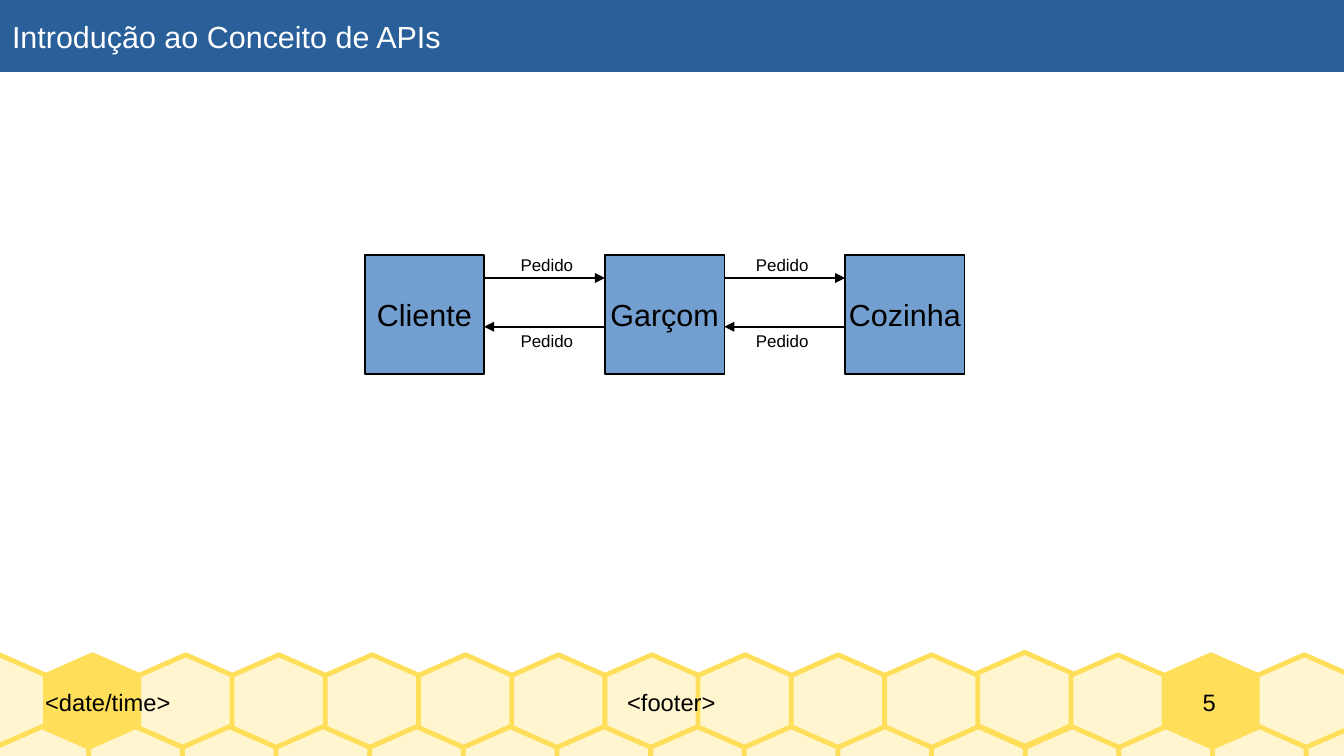
from dataclasses import dataclass

import pptx
import pptx.dml.color
import pptx.enum.shapes
import pptx.enum.text
import pptx.oxml
import pptx.oxml.ns
import pptx.util

Inches = pptx.util.Inches
Align = pptx.enum.text.PP_ALIGN
Anchor = pptx.enum.text.MSO_ANCHOR
RECTANGLE = pptx.enum.shapes.MSO_SHAPE.RECTANGLE
STRAIGHT = pptx.enum.shapes.MSO_CONNECTOR.STRAIGHT

BLACK, WHITE = "000000", "FFFFFF"
NAVY, BLUE = "2A6099", "729FCF"
GOLD, CREAM = "FFDE59", "FFF5CE"
CELL = 0.77
CELL_COUNT = 15
BOX, BOX_STEP, BOX_LEFT, BOX_TOP = 0.98, 1.97, 2.99, 2.09


@dataclass
class Label:
    text: str
    left: float
    top: float
    width: float
    height: float
    size: float
    align: Align = Align.LEFT
    anchor: Anchor = Anchor.MIDDLE
    color: str = BLACK
    inset_x: float = 0.1
    inset_y: float = 0.05
    wrap: bool = True


@dataclass
class HoneycombRow:
    first: float
    last: float
    top: float
    gold: tuple[int, ...] = ()
    raised: tuple[int, ...] = ()


def rgb(value: str) -> pptx.dml.color.RGBColor:
    return pptx.dml.color.RGBColor.from_string(value)


def apply(target, values: dict) -> None:
    for name, value in values.items():
        setattr(target, name, value)


def paint(shape, fill: str, line: str | None = None, weight: float = 1) -> None:
    shape.shadow.inherit = False
    shape.fill.solid()
    shape.fill.fore_color.rgb = rgb(fill)
    if line is None:
        shape.line.fill.background()
    else:
        shape.line.color.rgb = rgb(line)
        shape.line.width = pptx.util.Pt(weight)


def write(shape, label: Label) -> None:
    frame = shape.text_frame
    apply(frame, {
        "word_wrap": label.wrap,
        "vertical_anchor": label.anchor,
        "margin_left": Inches(label.inset_x),
        "margin_right": Inches(label.inset_x),
        "margin_top": Inches(label.inset_y),
        "margin_bottom": Inches(label.inset_y),
    })
    para = frame.paragraphs[0]
    para.alignment = label.align
    span = para.add_run()
    span.text = label.text
    apply(span.font, {"name": "Arial", "size": pptx.util.Pt(label.size)})
    span.font.color.rgb = rgb(label.color)


def bounds(label: Label) -> list[int]:
    return [Inches(v) for v in (label.left, label.top, label.width, label.height)]


def add_text(page, label: Label) -> None:
    write(page.shapes.add_textbox(*bounds(label)), label)


def add_box(page, label: Label, fill: str, line: str | None = None) -> None:
    box = page.shapes.add_shape(RECTANGLE, *bounds(label))
    paint(box, fill, line)
    write(box, label)


def add_hexagon(page, left: float, top: float, fill: str) -> None:
    middle, right = left + CELL / 2, left + CELL
    upper, lower, bottom = top + 0.17, top + 0.6, top + CELL
    corners = [(left, upper), (left, lower), (middle, bottom),
               (right, lower), (right, upper)]
    builder = page.shapes.build_freeform(Inches(middle), Inches(top))
    builder.add_line_segments([(Inches(x), Inches(y)) for x, y in corners])
    paint(builder.convert_to_shape(), fill, GOLD, 2.83)


def add_row(page, row: HoneycombRow) -> None:
    step = (row.last - row.first) / (CELL_COUNT - 1)
    for index in range(CELL_COUNT):
        top = row.top - (0.02 if index in row.raised else 0)
        fill = GOLD if index in row.gold else CREAM
        add_hexagon(page, row.first + index * step, top, fill)


def add_arrow(page, start: float, end: float, y: float) -> None:
    arrow = page.shapes.add_connector(
        STRAIGHT, Inches(start), Inches(y), Inches(end), Inches(y))
    arrow.line.color.rgb = rgb(BLACK)
    arrow.line.width = pptx.util.Pt(1.42)
    namespace = pptx.oxml.ns.nsdecls("a")
    arrow.line._get_or_add_ln().append(
        pptx.oxml.parse_xml(f'<a:tailEnd {namespace} type="triangle"/>'))
    arrow._element.spPr.append(
        pptx.oxml.parse_xml(f"<a:effectLst {namespace}/>"))


def main() -> None:
    deck = pptx.Presentation()
    apply(deck, {"slide_width": Inches(11.02), "slide_height": Inches(6.2)})
    page = deck.slides.add_slide(deck.slide_layouts[6])

    # Honeycomb band
    add_row(page, HoneycombRow(-0.39, 10.31, 5.37, gold=(1, 13), raised=(11,)))
    add_row(page, HoneycombRow(-0.04, 10.71, 5.96))

    # Footer fields
    for text, left, width, align in (
        ("<date/time>", 0.37, 2.63, Align.LEFT),
        ("<footer>", 3, 5.01, Align.CENTER),
        ("5", 9.29, 1.25, Align.CENTER),
    ):
        add_text(page, Label(text, left, 5.37, width, CELL, 14, align,
                             inset_x=0, inset_y=0))

    # Participants
    for index, name in enumerate(("Cliente", "Garçom", "Cozinha")):
        add_box(page, Label(name, BOX_LEFT + index * BOX_STEP, BOX_TOP, BOX, BOX,
                            18, Align.CENTER, wrap=False), BLUE, BLACK)

    # Arrows and their labels
    for index, label_left in enumerate((4.17, 6.1)):
        start = BOX_LEFT + BOX + index * BOX_STEP
        end = BOX_LEFT + (index + 1) * BOX_STEP
        add_arrow(page, start, end, 2.28)
        add_arrow(page, end, start, 2.68)
        for label_top in (2.04, 2.66):
            add_text(page, Label("Pedido", label_left, label_top, 0.79, 0.41, 10,
                                 anchor=Anchor.TOP))

    # Title bar
    add_box(page, Label("Introdução ao Conceito de APIs", 0, 0, 11.02, 0.59, 18,
                        color=WHITE), NAVY)

    deck.save("out.pptx")


if __name__ == "__main__":
    main()
